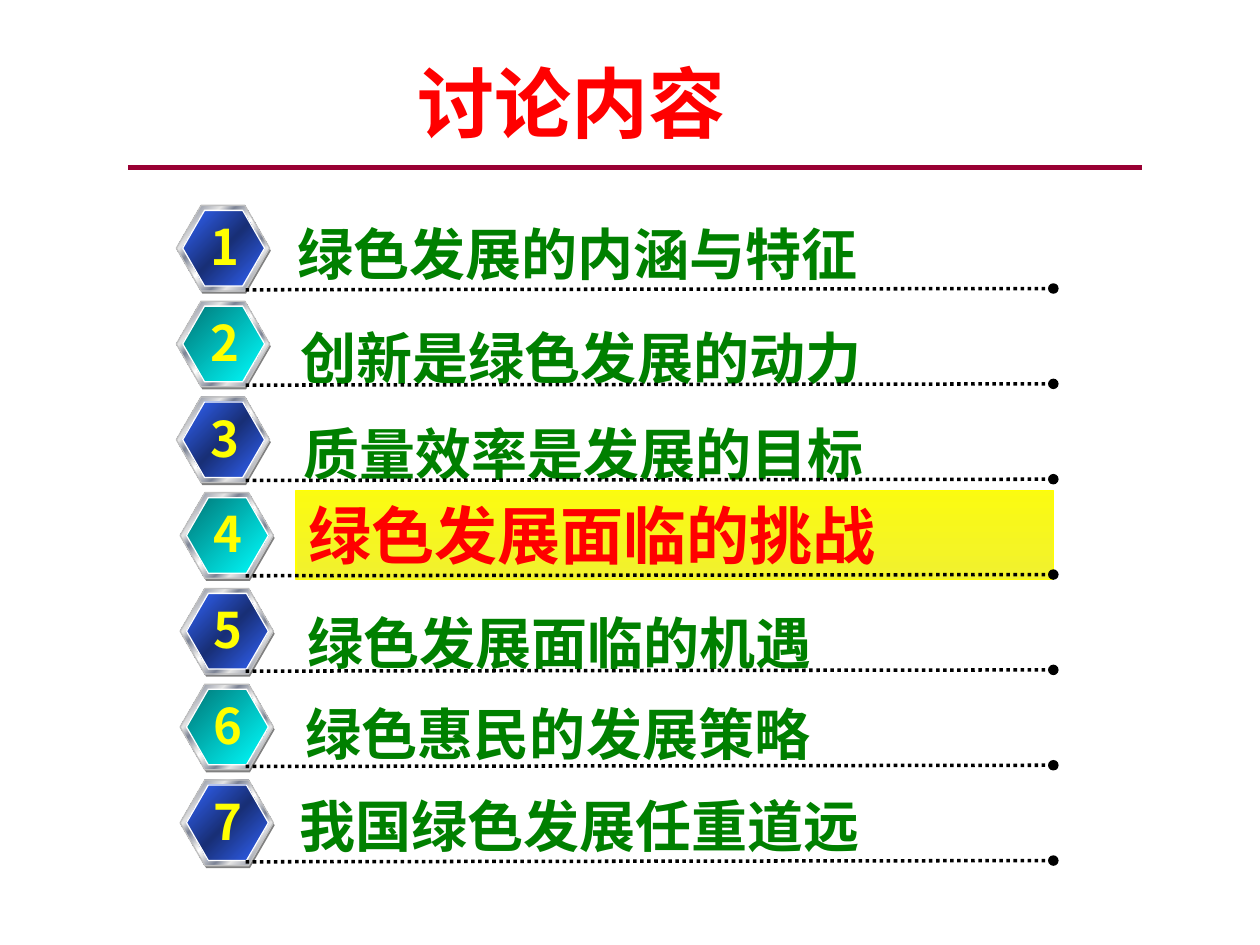
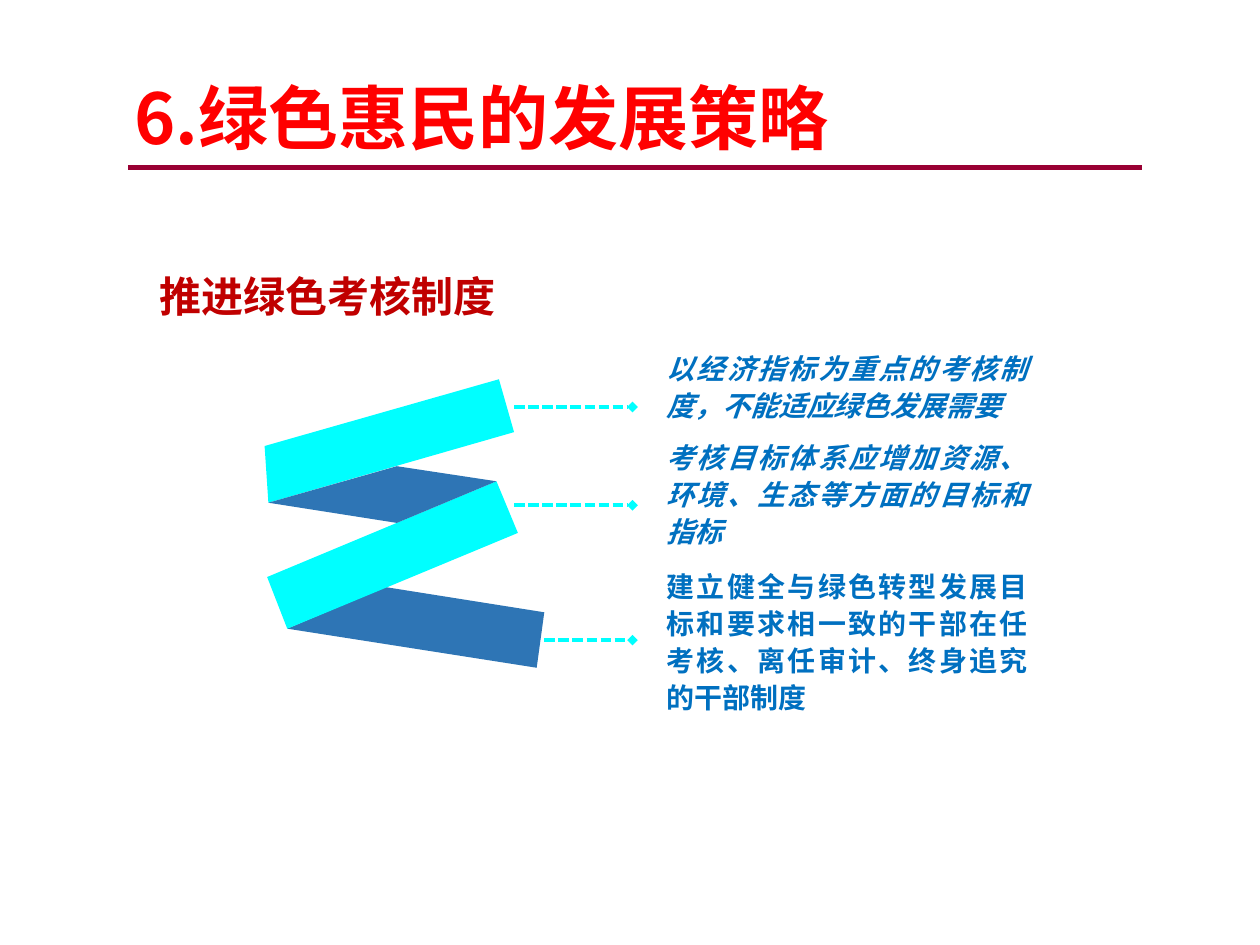
from lxml.etree import SubElement
from pptx import Presentation
from pptx.dml.color import RGBColor
from pptx.enum.dml import MSO_LINE
from pptx.enum.shapes import MSO_CONNECTOR, MSO_SHAPE
from pptx.enum.text import MSO_ANCHOR as ANCHOR, PP_ALIGN as ALIGN
from pptx.oxml.ns import qn
from pptx.util import Inches, Pt

FONT = "Noto Sans CJK SC"
COLORS = {
    "red": "FF0000", "dark_red": "C00000", "rule": "990033", "green": "008000",
    "yellow": "FFFF00", "blue": "0070C0", "cyan": "00FFFF", "steel": "2E75B5",
    "black": "000000", "white": "FFFFFF", "silver": "C0C0C0", "gray": "808080",
}
GRADIENTS = {
    "metal": [(0, "E6E6E6"), (8, "7D8496"), (26, "E6E6E6"), (34, "7D8496"),
              (46, "E6E6E6"), (50, "FFFFFF"), (54, "E6E6E6"), (66, "7D8496"),
              (74, "E6E6E6"), (92, "7D8496"), (100, "E6E6E6")],
    "navy": [(0, "3366FF"), (50, "182F76"), (100, "3366FF")],
    "teal": [(0, "007676"), (100, "00FFFF")],
    "highlight": [(0, "FBFB11"), (100, "F1F12F")],
}
STYLES = {
    "agenda_title": ("red", {"size": Pt(44)}),
    "section_title": ("red", {"size": Pt(40)}),
    "subtitle": ("dark_red", {"size": Pt(24)}),
    "topic": ("green", {"size": Pt(32)}),
    "current_topic": ("red", {"size": Pt(36)}),
    "number": ("yellow", {"size": Pt(28)}),
    "point": ("blue", {"size": Pt(16)}),
    "italic_point": ("blue", {"size": Pt(16), "italic": True}),
}


def rgb(name):
    return RGBColor.from_string(COLORS[name])


class Deck:
    """Holds the shared style and the current slide."""

    def __init__(self):
        self.presentation = Presentation()
        self.presentation.slide_width = Inches(10)
        self.presentation.slide_height = Inches(7.5)
        self.slide = None

    def new_slide(self):
        self.slide = self.presentation.slides.add_slide(self.presentation.slide_layouts[6])
        self.line((1.02, 1.33), (9.06, 1.33), "rule", 3)

    def fill_text(self, shape, text, style, wrap=True, spacing=None,
                  align=ALIGN.LEFT, anchor=ANCHOR.TOP, side=0.1):
        frame = shape.text_frame
        frame_format = {"word_wrap": wrap, "vertical_anchor": anchor,
                        "margin_left": Inches(side), "margin_right": Inches(side)}
        for name, value in frame_format.items():
            setattr(frame, name, value)
        paragraph = frame.paragraphs[0]
        paragraph.alignment = align
        if spacing:
            paragraph.line_spacing = spacing
        run = paragraph.add_run()
        run.text = text
        color, font_format = STYLES[style]
        run.font.color.rgb = rgb(color)
        for name, value in {"name": FONT, "bold": True, **font_format}.items():
            setattr(run.font, name, value)
        # East Asian characters take their own typeface element
        SubElement(run.font._element, qn("a:ea"), typeface=FONT)

    def text(self, box, text, style, **options):
        shape = self.slide.shapes.add_textbox(*map(Inches, box))
        self.fill_text(shape, text, style, **options)

    def paint(self, shape, fill, outline=None, angle=45):
        shape.shadow.inherit = False
        if fill in GRADIENTS:
            shape.fill.gradient()
            shape.fill.gradient_angle = 360 - angle
            stops = shape._element.spPr.find(".//" + qn("a:gsLst"))
            for stop in list(stops):
                stops.remove(stop)
            for position, color in GRADIENTS[fill]:
                stop = SubElement(stops, qn("a:gs"), pos=str(position * 1000))
                SubElement(stop, qn("a:srgbClr"), val=color)
        else:
            shape.fill.solid()
            shape.fill.fore_color.rgb = rgb(fill)
        if outline:
            shape.line.color.rgb = rgb(outline)
            shape.line.width = Pt(0.75)
        else:
            shape.line.fill.background()

    def rectangle(self, box, fill, outline, angle):
        shape = self.slide.shapes.add_shape(MSO_SHAPE.RECTANGLE, *map(Inches, box))
        self.paint(shape, fill, outline, angle)
        return shape

    def hexagon(self, box, fill, outline=None):
        shape = self.slide.shapes.add_shape(MSO_SHAPE.HEXAGON, *map(Inches, box))
        shape.adjustments[0] = 0.289
        shape.adjustments[1] = 1.155
        self.paint(shape, fill, outline)

    def badge(self, left, top, number):
        self.hexagon((left + 0.01, top + 0.02, 0.74, 0.68), "gray")
        self.hexagon((left, top, 0.74, 0.68), "metal", "silver")
        face = "navy" if number % 2 else "teal"
        self.hexagon((left + 0.05, top + 0.04, 0.65, 0.6), face, "white")
        self.text((left + 0.17, top + 0.04, 0.4, 0.57), str(number), "number",
                  wrap=False, align=ALIGN.CENTER)

    def line(self, start, end, color, width, dash=None, tail=None):
        connector = self.slide.shapes.add_connector(
            MSO_CONNECTOR.STRAIGHT, *map(Inches, start + end))
        connector.line.color.rgb = rgb(color)
        connector.line.width = Pt(width)
        if dash:
            connector.line.dash_style = dash
        properties = connector._element.spPr
        if tail:
            SubElement(properties.find(qn("a:ln")), qn("a:tailEnd"), type=tail)
        SubElement(properties, qn("a:effectLst"))

    def polygon(self, points, fill):
        first, *rest = [tuple(map(Inches, point)) for point in points]
        builder = self.slide.shapes.build_freeform(*first)
        builder.add_line_segments(rest, close=True)
        self.paint(builder.convert_to_shape(), fill)


def build_agenda(deck):
    deck.new_slide()
    deck.text((0.04, 0.39, 9, 1.25), "讨论内容", "agenda_title", align=ALIGN.CENTER)

    # Topic text with the place of its box
    topics = [
        (2.26, 1.69, "绿色发展的内涵与特征"),
        (2.29, 2.52, "创新是绿色发展的动力"),
        (2.31, 3.28, "质量效率是发展的目标"),
        (2.35, 3.89, "绿色发展面临的挑战"),
        (2.34, 4.78, "绿色发展面临的机遇"),
        (2.33, 5.5, "绿色惠民的发展策略"),
        (2.28, 6.23, "我国绿色发展任重道远"),
    ]
    current = 4
    line_pitch = (6.84 - 2.3) / (len(topics) - 1)
    for number, (left, top, topic) in enumerate(topics, 1):
        row = number - 1
        if number == current:
            bar = deck.rectangle((left, top, 6.01, 0.71), "highlight", "yellow", 90)
            deck.fill_text(bar, topic, "current_topic")
        else:
            deck.text((left, top, 5.1, 0.64), topic, "topic")
        deck.badge(1.4 if number < current else 1.43, 1.63 + 0.76 * row, number)
        line_top = 2.3 + line_pitch * row
        deck.line((1.95, line_top), (8.36, line_top - 0.01), "black", 2,
                  MSO_LINE.ROUND_DOT, "oval")


def build_strategy(deck):
    deck.new_slide()
    deck.text((0.97, 0.54, 8.02, 0.77), "6.绿色惠民的发展策略", "section_title")
    deck.text((1.17, 1.9, 7.55, 0.71), "推进绿色考核制度", "subtitle", spacing=1.5)

    # Folded ribbon, from back to front
    ribbon = [
        ("steel", [(3.06, 4.66), (4.32, 4.86), (4.26, 5.3), (2.28, 4.99)]),
        ("cyan", [(3.96, 3.01), (4.08, 3.43), (2.13, 3.99), (2.1, 3.54)]),
        ("cyan", [(3.94, 3.82), (4.11, 4.23), (2.28, 4.99), (2.12, 4.58)]),
        ("steel", [(3.15, 3.7), (3.94, 3.82), (3.15, 4.15), (2.13, 3.99)]),
    ]
    for color, points in ribbon:
        deck.polygon(points, color)

    # Leader start, leader height, text top, text height, style, text
    points = [
        (4.08, 3.23, 2.58, 0.95, "italic_point",
         "以经济指标为重点的考核制度，不能适应绿色发展需要"),
        (4.08, 4.01, 3.5, 0.82, "italic_point",
         "考核目标体系应增加资源、环境、生态等方面的目标和指标"),
        (4.32, 5.08, 4.77, 0.62, "point",
         "建立健全与绿色转型发展目标和要求相一致的干部在任考核、离任审计、终身追究的干部制度"),
    ]
    for start, leader_top, top, height, style, text in points:
        deck.line((start, leader_top), (5.02, leader_top), "cyan", 2,
                  MSO_LINE.SQUARE_DOT, "diamond")
        deck.text((5.22, top, 3.01, height), text, style, spacing=1.1,
                  align=ALIGN.JUSTIFY, anchor=ANCHOR.MIDDLE, side=0.07)


def main():
    deck = Deck()
    build_agenda(deck)
    build_strategy(deck)
    deck.presentation.save("out.pptx")


if __name__ == "__main__":
    main()
